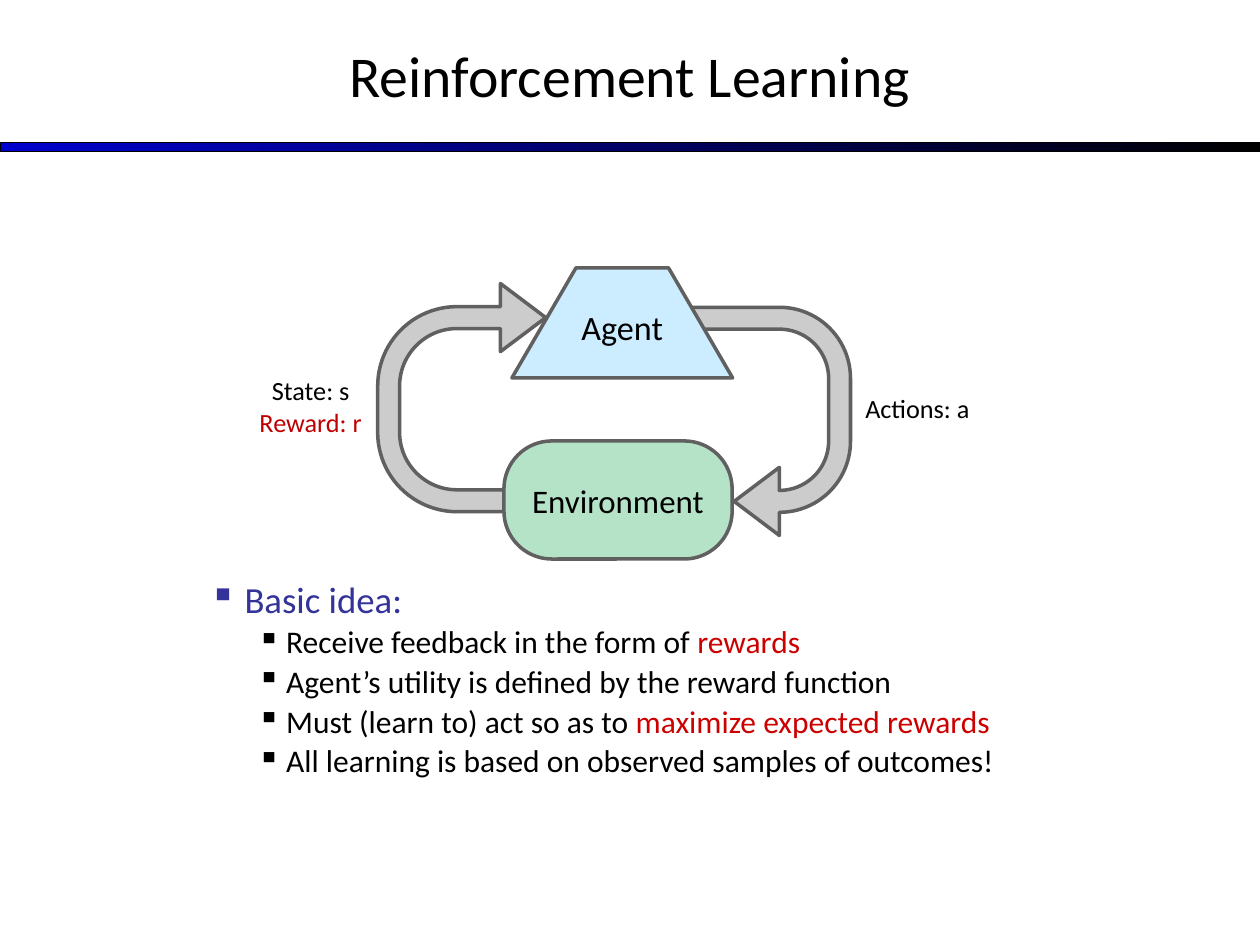
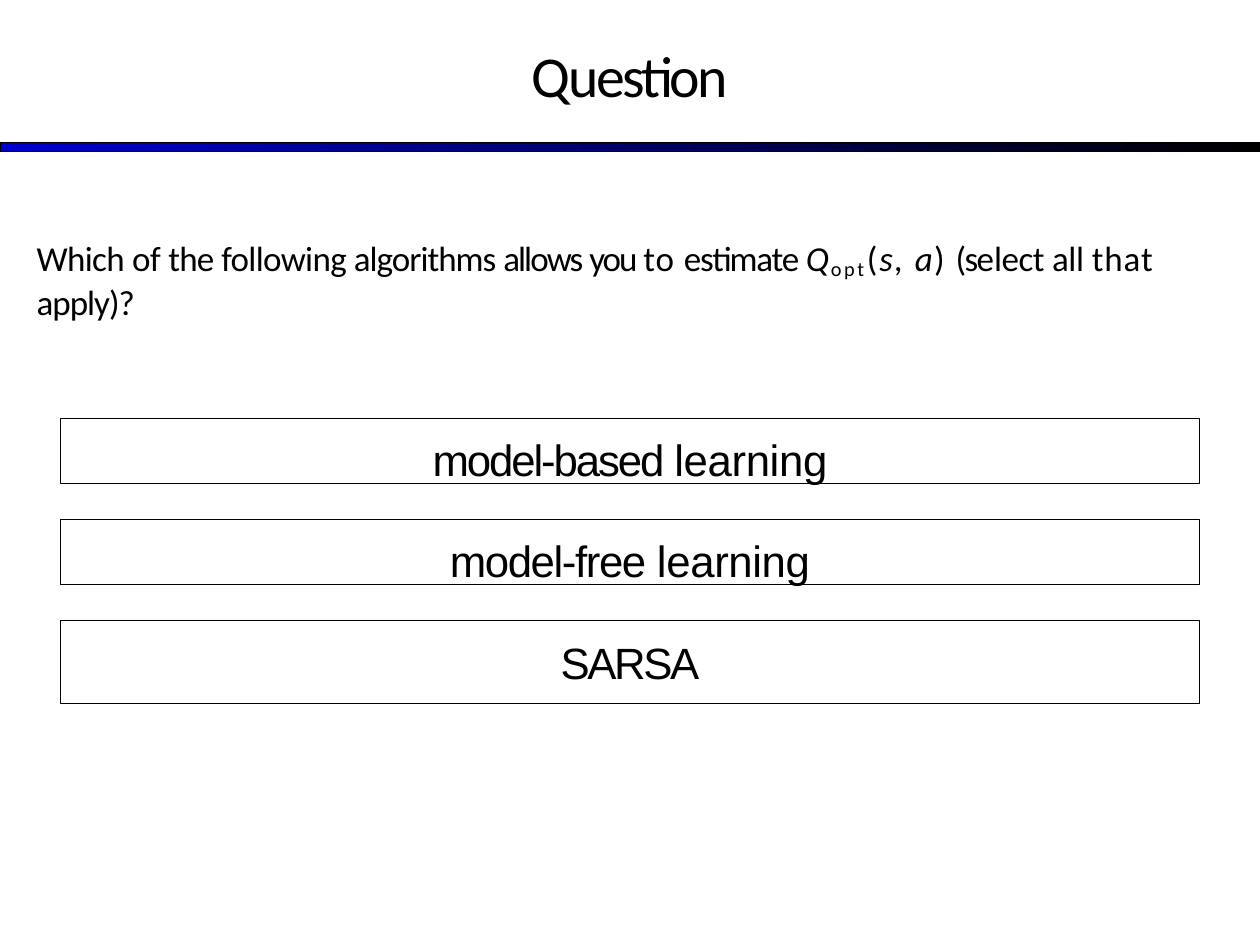
"""Build two slides: the reinforcement learning loop and a question on Q estimation."""
from dataclasses import dataclass
from typing import NamedTuple, Optional

from lxml.etree import SubElement
from pptx import Presentation
from pptx.dml.color import RGBColor
from pptx.enum.shapes import MSO_SHAPE
from pptx.enum.text import MSO_ANCHOR, PP_ALIGN
from pptx.oxml.ns import qn
from pptx.util import Cm, Pt

COLORS = {
    "ink": "000000",
    "band": "0000CC",
    "heading": "333399",
    "emphasis": "CC0000",
    "reward": "C00000",
    "outline": "606060",
    "arrow": "CCCCCC",
    "agent": "CCECFF",
    "environment": "B5E3C8",
}
SLIDE_WIDTH, SLIDE_HEIGHT = 25.4, 19.05


class Box(NamedTuple):
    left: float
    top: float
    width: float
    height: float

    def lengths(self) -> list:
        return [Cm(side) for side in self]


class Insets(NamedTuple):
    left: float = 0.25
    top: float = 0.13
    right: float = 0.25
    bottom: float = 0.13


NO_INSETS = Insets(0, 0, 0, 0)


@dataclass(frozen=True)
class Span:
    text: str
    color: Optional[str] = None
    size: Optional[float] = None
    spacing: float = 0
    italic: bool = False
    baseline: int = 0


@dataclass(frozen=True)
class Node:
    preset: MSO_SHAPE
    box: Box
    fill: Optional[str] = None
    adjustments: tuple = ()
    rotation: int = 0
    outline: str = "outline"
    weight: float = 2


@dataclass(frozen=True)
class BulletLevel:
    margin: float
    hanging: float
    color: str


LEVELS = (BulletLevel(0.71, 0.71, "heading"), BulletLevel(1.55, 0.58, "ink"))


def rgb(name: str) -> RGBColor:
    return RGBColor.from_string(COLORS[name])


def write(frame, lines: list, *, size: float, font: str = "Calibri", color: str = "ink",
          align=PP_ALIGN.CENTER, anchor=MSO_ANCHOR.TOP, insets: Insets = Insets(),
          line_spacing: float = 1.0, space_before: float = 0) -> None:
    frame.word_wrap = True
    frame.vertical_anchor = anchor
    frame.margin_left, frame.margin_top, frame.margin_right, frame.margin_bottom = map(Cm, insets)
    for index, spans in enumerate(lines):
        paragraph = frame.add_paragraph() if index else frame.paragraphs[0]
        paragraph.alignment = align
        paragraph.line_spacing = line_spacing
        paragraph.space_before = Pt(space_before if index else 0)
        for span in spans:
            run = paragraph.add_run()
            run.text = span.text
            run.font.name = font
            run.font.size = Pt(span.size or size)
            run.font.italic = span.italic
            run.font.color.rgb = rgb(span.color or color)
            properties = run._r.get_or_add_rPr()
            if span.spacing:
                properties.set("spc", str(round(span.spacing * 100)))
            if span.baseline:
                properties.set("baseline", str(span.baseline * 1000))


def add_label(slide, box: Box, lines: list, **text_format):
    label = slide.shapes.add_textbox(*box.lengths())
    write(label.text_frame, lines, **text_format)
    return label


def add_node(slide, node: Node):
    shape = slide.shapes.add_shape(node.preset, *node.box.lengths())
    shape.shadow.inherit = False
    shape.rotation = node.rotation
    for index, value in enumerate(node.adjustments):
        shape.adjustments[index] = value
    if node.fill:
        shape.fill.solid()
        shape.fill.fore_color.rgb = rgb(node.fill)
    else:
        shape.fill.background()
    shape.line.color.rgb = rgb(node.outline)
    shape.line.width = Pt(node.weight)
    return shape


def add_bullet(paragraph, level: int) -> None:
    style = LEVELS[level]
    paragraph.level = level
    properties = paragraph._p.get_or_add_pPr()
    properties.set("marL", str(Cm(style.margin)))
    properties.set("indent", str(-Cm(style.hanging)))
    bullet_color = SubElement(properties, qn("a:buClr"))
    SubElement(bullet_color, qn("a:srgbClr")).set("val", COLORS[style.color])
    SubElement(properties, qn("a:buChar")).set("char", "▪")


def add_titled_slide(deck, title: Span):
    slide = deck.slides.add_slide(deck.slide_layouts[6])
    band = add_node(slide, Node(MSO_SHAPE.RECTANGLE, Box(0, 2.87, SLIDE_WIDTH, 0.18),
                                outline="ink", weight=0.75))
    band.fill.gradient()
    band.fill.gradient_angle = 0
    for stop, color in zip(band.fill.gradient_stops, ("band", "ink")):
        stop.color.rgb = rgb(color)
    add_label(slide, Box(0, -0.08, SLIDE_WIDTH, 3.18), [[title]],
              size=33, anchor=MSO_ANCHOR.MIDDLE)
    return slide


def build_learning_loop(deck) -> None:
    slide = add_titled_slide(deck, Span("Reinforcement Learning"))
    for left, top, rotation, reach in ((7.14, 6.19, 270, 0.928), (13.02, 6.67, 90, 0.643)):
        add_node(slide, Node(MSO_SHAPE.U_TURN_ARROW, Box(left, top, 4.6, 3.65), "arrow",
                             (0.121, 0.188, 0.25, 0.438, reach), rotation))

    ideas = [
        [Span("Basic idea:", "heading", 21)],
        [Span("Receive feedback in the form of "), Span("rewards", "emphasis")],
        [Span("Agent’s utility is defined by the reward function")],
        [Span("Must (learn to) act so as to "), Span("maximize expected rewards", "emphasis")],
        [Span("All learning is based on observed samples of outcomes!")],
    ]
    summary = add_label(slide, Box(3.97, 11.59, 17.46, 4.29), ideas, size=18,
                        align=PP_ALIGN.LEFT, line_spacing=0.9, space_before=3.2)
    for index, paragraph in enumerate(summary.text_frame.paragraphs):
        add_bullet(paragraph, min(index, 1))

    environment = add_node(slide, Node(MSO_SHAPE.ROUNDED_RECTANGLE, Box(10.16, 8.89, 4.6, 2.38),
                                       "environment", (0.406,)))
    write(environment.text_frame, [[Span("Environment")]], size=18.8,
          anchor=MSO_ANCHOR.MIDDLE, insets=NO_INSETS)
    agent = add_node(slide, Node(MSO_SHAPE.TRAPEZOID, Box(10.32, 5.4, 4.45, 2.22),
                                 "agent", (0.582,)))
    write(agent.text_frame, [[Span("Agent")]], size=19.5,
          anchor=MSO_ANCHOR.MIDDLE, insets=Insets(0, 0, 0, 0.28))

    add_label(slide, Box(16.83, 7.78, 3.33, 0.89), [[Span("Actions: a")]], size=15)
    add_label(slide, Box(4.6, 7.42, 3.33, 1.55),
              [[Span("State: s")], [Span("Reward: r", "reward")]], size=15)


def build_question(deck) -> None:
    slide = add_titled_slide(deck, Span("Question", spacing=-1.4))
    wording = (("Which ", -0.4), ("of ", -0.2), ("the ", -0.5), ("following ", -0.4),
               ("algorithms ", -0.6), ("allows ", -1.1), ("you ", -1.2), ("to ", 0.5),
               ("estimate ", -0.7))
    ending = (("(se", -0.9), ("lect ", -0.3), ("all ", -0.2), ("that ", 0.5), ("apply)?", -0.6))
    q_value = [
        Span("Q", spacing=1, italic=True),
        Span("opt", spacing=1.5, baseline=-13),
        Span("(", spacing=1),
        Span("s, ", spacing=1, italic=True),
        Span("a", spacing=0.8, italic=True),
        Span(") ", spacing=0.8),
    ]
    before, after = ([Span(text, spacing=spacing) for text, spacing in part]
                     for part in (wording, ending))
    add_label(slide, Box(0.64, 4.72, 24.1, 1.75), [before + q_value + after], size=20,
              align=PP_ALIGN.LEFT, insets=Insets(0.1, 0.03, 0, 0), line_spacing=1.02)

    options = (
        (1.32, [Span("model-based ", spacing=-1.2), Span("learning", spacing=-0.2)]),
        (1.32, [Span("model-free ", spacing=-0.8), Span("learning", spacing=-0.2)]),
        (1.68, [Span("SARSA", spacing=-1.3)]),
    )
    for row, (height, answer) in enumerate(options):
        option = add_node(slide, Node(MSO_SHAPE.RECTANGLE,
                                      Box(1.22, 8.43 + row * 2.04, 22.96, height),
                                      outline="ink", weight=0.5))
        write(option.text_frame, [answer], size=25, font="Arial", insets=Insets(0, 0.3, 0, 0))


def main() -> None:
    deck = Presentation()
    deck.slide_width, deck.slide_height = Cm(SLIDE_WIDTH), Cm(SLIDE_HEIGHT)
    build_learning_loop(deck)
    build_question(deck)
    deck.save("out.pptx")


if __name__ == "__main__":
    main()
